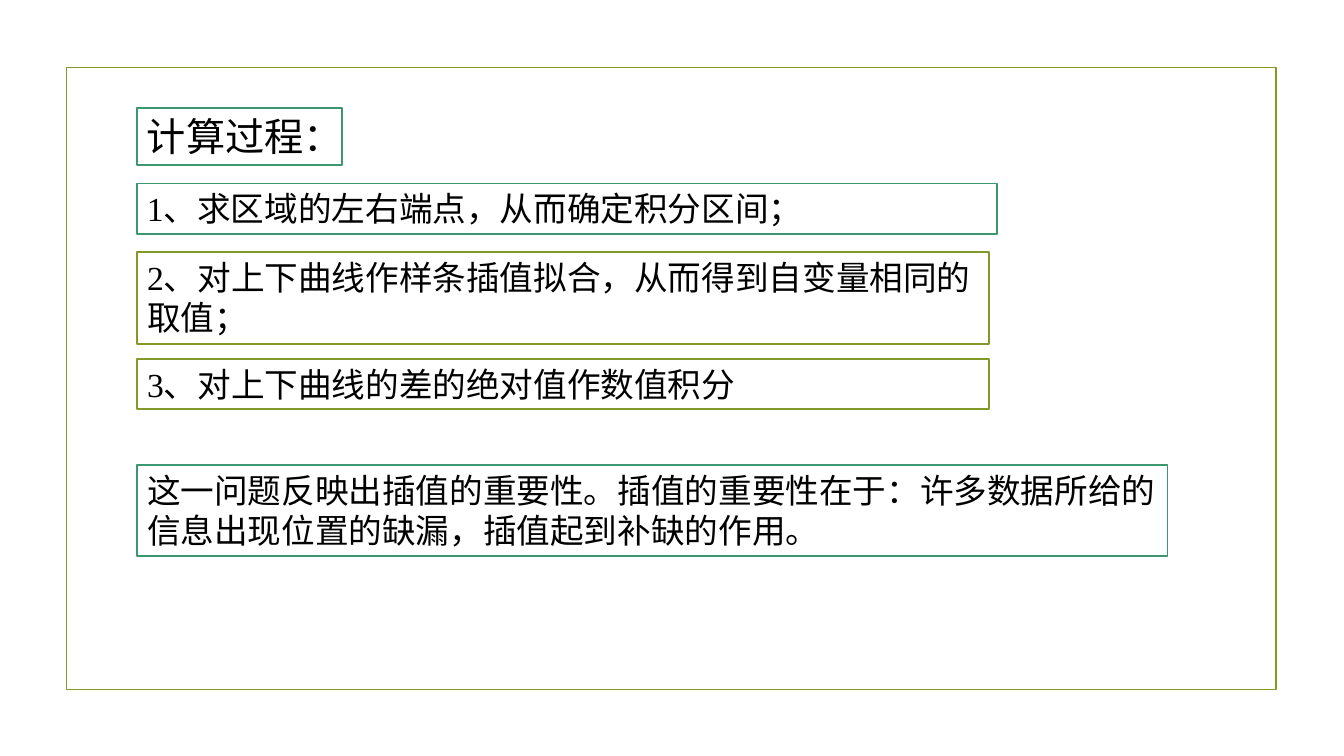
from pptx import Presentation
from pptx.dml.color import RGBColor
from pptx.enum.shapes import MSO_SHAPE
from pptx.enum.text import MSO_ANCHOR, MSO_AUTO_SIZE, PP_ALIGN
from pptx.util import Inches, Pt

RECT = MSO_SHAPE.RECTANGLE
TOP = MSO_ANCHOR.TOP
GROW = MSO_AUTO_SIZE.SHAPE_TO_FIT_TEXT
LEFT = PP_ALIGN.LEFT

COLORS = {"olive": "83992A", "green": "3C9770", "white": "FFFFFF", "black": "000000"}
FRAME = {"word_wrap": True, "auto_size": GROW, "vertical_anchor": TOP}
EDGE = 1.36

STEPS = [
    (1.07, 2.03, 0.57, "green", 28, "计算过程："),
    (1.82, 8.53, 0.5, "green", 24, "1、求区域的左右端点，从而确定积分区间；"),
    (2.5, 8.45, 0.91, "olive", 24, "2、对上下曲线作样条插值拟合，从而得到自变量相同的取值；"),
    (3.56, 8.45, 0.5, "olive", 24, "3、对上下曲线的差的绝对值作数值积分"),
    (4.61, 10.22, 0.91, "green", 24,
     "这一问题反映出插值的重要性。插值的重要性在于：许多数据所给的信息出现位置的缺漏，插值起到补缺的作用。"),
]


def color(name):
    return RGBColor.from_string(COLORS[name])


def add_box(left, top, width, height, line):
    box = slide.shapes.add_shape(RECT, Inches(left), Inches(top), Inches(width), Inches(height))
    box.shadow.inherit = False
    box.line.color.rgb = color(line)
    box.line.width = Pt(1.25)
    return box


deck = Presentation()
deck.slide_width = Inches(13.33)
deck.slide_height = Inches(7.5)
slide = deck.slides.add_slide(deck.slide_layouts[6])

border = add_box(0.66, 0.67, 12, 6.17, "olive")
border.fill.background()

for top, width, height, line, size, text in STEPS:
    box = add_box(EDGE, top, width, height, line)
    box.fill.solid()
    box.fill.fore_color.rgb = color("white")
    for key, value in FRAME.items():
        setattr(box.text_frame, key, value)
    para = box.text_frame.paragraphs[0]
    para.alignment = LEFT
    run = para.add_run()
    run.text = text
    for key, value in {"name": "Times New Roman", "size": Pt(size)}.items():
        setattr(run.font, key, value)
    run.font.color.rgb = color("black")

deck.save("out.pptx")
